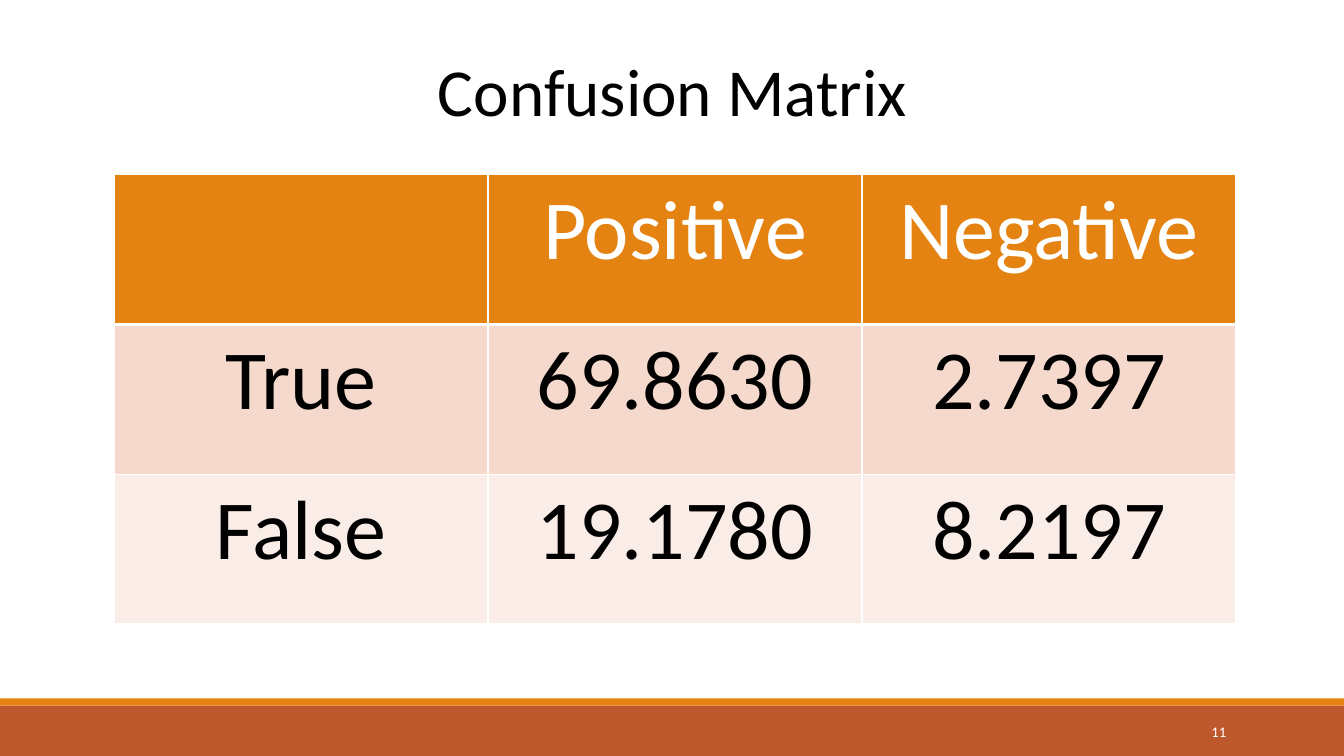
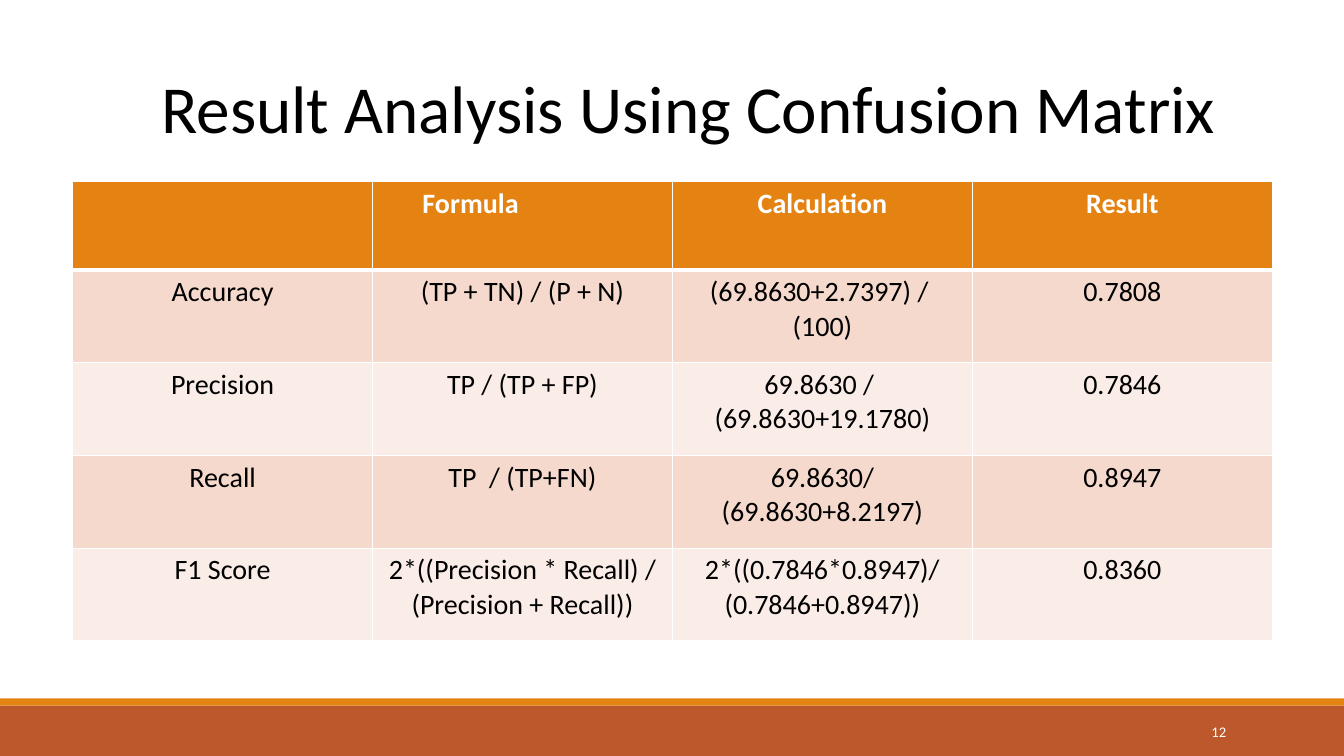
from dataclasses import dataclass

from lxml import etree
from pptx import Presentation
from pptx import util as u
from pptx.dml.color import RGBColor
from pptx.enum import shapes, text
from pptx.oxml import ns


@dataclass(frozen=True)
class Theme:
    """Colours, font and type sizes shared by the slides."""
    font: str = "Calibri"
    black: str = "000000"
    white: str = "FFFFFF"
    orange: str = "E48312"
    rust: str = "BD582C"
    row_fills: tuple = ("F5D9CC", "FAEDE7")
    title_size: float = 48
    number_size: float = 10.5
    thin: float = 1
    thick: float = 3


THEME = Theme()
WIDTH, HEIGHT = 13.33, 7.5


def write_text(frame, content, size, color=THEME.black, bold=False,
               align=text.PP_ALIGN.CENTER, anchor=None, spacing=None):
    """Fill a text frame, one paragraph per line, and format it."""
    frame.word_wrap = True
    frame.text = content
    if anchor is not None:
        frame.vertical_anchor = anchor
    for paragraph in frame.paragraphs:
        paragraph.alignment = align
        if spacing:
            paragraph.line_spacing = spacing
        for run in paragraph.runs:
            run.font.name = THEME.font
            run.font.size = u.Pt(size)
            run.font.bold = bold
            run.font.color.rgb = RGBColor.from_string(color)


def add_band(slide, box, color):
    """Draw a plain filled strip in the given box."""
    band = slide.shapes.add_shape(shapes.MSO_SHAPE.RECTANGLE, *map(u.Inches, box))
    band.shadow.inherit = False
    band.fill.solid()
    band.fill.fore_color.rgb = RGBColor.from_string(color)
    band.line.fill.background()


def add_footer(slide, box, number):
    """Draw the two footer bands and the page number."""
    left, top, width, height = box
    stripe = 0.07
    add_band(slide, (left, top + stripe, width, height - stripe), THEME.rust)
    add_band(slide, (left, top, width, stripe), THEME.orange)
    number_box = (left + width - 2.5, top + 0.13, 1.43, 0.4)
    label = slide.shapes.add_textbox(*map(u.Inches, number_box))
    write_text(label.text_frame, str(number), THEME.number_size, THEME.white,
               align=text.PP_ALIGN.RIGHT, anchor=text.MSO_ANCHOR.MIDDLE)


def place_title(slide, box, content):
    """Move the title placeholder into the box and format it."""
    title = slide.shapes.title
    title.left, title.top, title.width, title.height = map(u.Inches, box)
    title.text_frame.auto_size = text.MSO_AUTO_SIZE.NONE
    write_text(title.text_frame, content, THEME.title_size,
               anchor=text.MSO_ANCHOR.MIDDLE, spacing=0.9)


def add_borders(cell, top, bottom):
    """Draw white cell borders with the given top and bottom widths."""
    properties = cell._tc.get_or_add_tcPr()
    widths = {"lnL": THEME.thin, "lnR": THEME.thin, "lnT": top, "lnB": bottom}
    for side, width in widths.items():
        line = etree.SubElement(properties, ns.qn(f"a:{side}"), w=str(u.Pt(width)))
        fill = etree.SubElement(line, ns.qn("a:solidFill"))
        etree.SubElement(fill, ns.qn("a:srgbClr"), val=THEME.white)


def add_data_table(slide, box, rows, size, header_height, bold_header=False):
    """Draw a table with an orange header and alternating body rows."""
    left, top, width, height = box
    frame = slide.shapes.add_table(len(rows), len(rows[0]), *map(u.Inches, box))
    table = frame.table
    for column in table.columns:
        column.width = u.Inches(width / len(rows[0]))
    body_height = (height - header_height) / (len(rows) - 1)
    for index, values in enumerate(rows):
        header = index == 0
        table.rows[index].height = u.Inches(header_height if header else body_height)
        fill = THEME.orange if header else THEME.row_fills[(index - 1) % 2]
        for column, value in enumerate(values):
            cell = table.cell(index, column)
            add_borders(cell, THEME.thick if index == 1 else THEME.thin,
                        THEME.thick if header else THEME.thin)
            cell.fill.solid()
            cell.fill.fore_color.rgb = RGBColor.from_string(fill)
            write_text(cell.text_frame, value, size,
                       THEME.white if header else THEME.black, header and bold_header)
    return table


def add_base_slide(presentation, number, title, title_box):
    """Add a slide with its title and footer."""
    slide = presentation.slides.add_slide(presentation.slide_layouts[5])
    add_footer(slide, (0, 6.93, WIDTH, 0.57), number)
    place_title(slide, title_box, title)
    return slide


def add_matrix_slide(presentation):
    """Build the confusion matrix slide."""
    slide = add_base_slide(presentation, 11, "Confusion Matrix", (0.92, 0.46, 11.5, 0.96))
    rows = [
        ("", "Positive", "Negative"),
        ("True", "69.8630", "2.7397"),
        ("False", "19.1780", "8.2197"),
    ]
    add_data_table(slide, (1.13, 1.73, 11.13, 4.46), rows, size=60, header_height=1.49)


def add_analysis_slide(presentation):
    """Build the slide of measures derived from the matrix."""
    slide = add_base_slide(presentation, 12, "Result Analysis Using Confusion Matrix",
                           (1.08, 0.63, 11.5, 0.96))
    rows = [
        ("", "Formula", "Calculation", "Result"),
        ("Accuracy", "(TP + TN) / (P + N)", "(69.8630+2.7397) / \n(100)", "0.7808"),
        ("Precision", "TP / (TP + FP)", "69.8630 / \n(69.8630+19.1780)", "0.7846"),
        ("Recall", "TP  / (TP+FN)", "69.8630/\n(69.8630+8.2197)", "0.8947"),
        ("F1 Score", "2*((Precision * Recall) / (Precision + Recall))",
         "2*((0.7846*0.8947)/ (0.7846+0.8947))", "0.8360"),
    ]
    table = add_data_table(slide, (0.72, 1.8, 11.9, 4.56), rows, size=20,
                           header_height=0.88, bold_header=True)
    table.cell(0, 1).margin_right = u.Inches(1.13)


def main():
    """Build and save the presentation."""
    presentation = Presentation()
    presentation.slide_width = u.Inches(WIDTH)
    presentation.slide_height = u.Inches(HEIGHT)
    add_matrix_slide(presentation)
    add_analysis_slide(presentation)
    presentation.save("out.pptx")


main()
